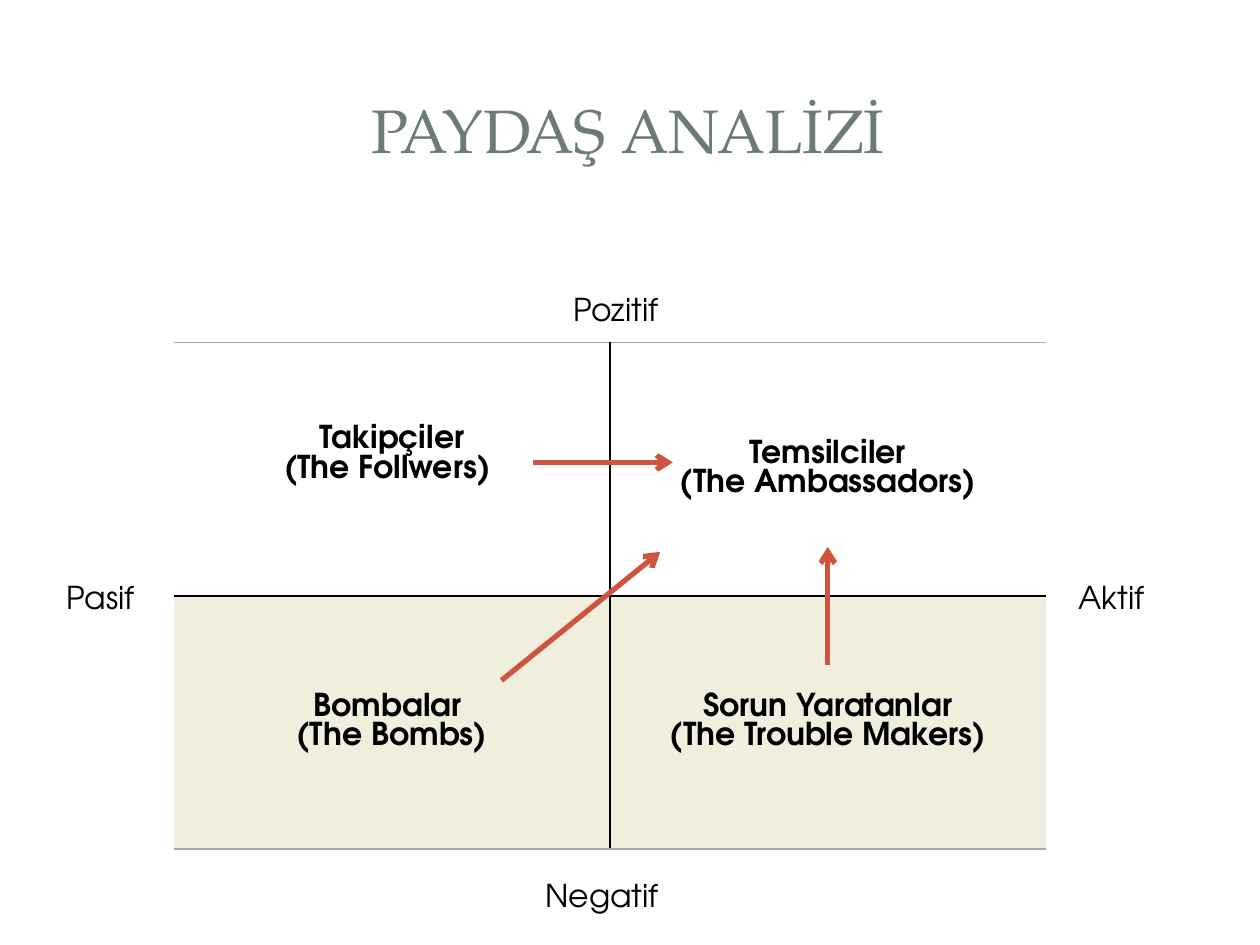
from lxml.etree import SubElement
from pptx import Presentation
from pptx.dml.color import RGBColor
from pptx.enum.shapes import MSO_CONNECTOR, MSO_SHAPE
from pptx.enum.text import MSO_ANCHOR, MSO_AUTO_SIZE, PP_ALIGN
from pptx.oxml.ns import qn
from pptx.util import Inches, Pt

TITLE = "PAYDAŞ ANALİZİ"
QUADRANTS = [
    [["Takipçiler", "(The Follwers) "], ["Temsilciler", "(The Ambassadors)"]],
    [["Bombalar ", "(The Bombs)"], ["Sorun Yaratanlar", "(The Trouble Makers)"]],
]
AXIS_LABELS = [
    ("Pasif", 0.43, 4.54, 0.75),
    ("Aktif", 8.46, 4.54, 0.73),
    ("Pozitif", 4.45, 2.25, 0.89),
    ("Negatif", 4.23, 6.9, 1.11),
]
ARROWS = [
    ((4.23, 3.67), (5.34, 3.67)),
    ((3.98, 5.4), (5.24, 4.38)),
    ((6.57, 5.28), (6.57, 4.34)),
]
PANELS = [
    (MSO_SHAPE.ROUNDED_RECTANGLE, 0.1, 0.11, 9.8, 7.29),
    (MSO_SHAPE.RECTANGLE, 0.3, 0.3, 9.4, 1.45),
    (MSO_SHAPE.RECTANGLE, 0.41, 0.41, 9.17, 1.22),
]
THEME = {
    "title_font": "TeX Gyre Pagella", "title_size": 35, "title_color": "6B7D72",
    "font": "TeX Gyre Adventor", "size": 18, "text": "000000", "panel": "FFFFFF",
    "axis": "000000", "edge": "A6A6A6", "accent": "B5AE53", "tint": 20,
    "arrow": "CF543F", "border_width": 1, "arrow_width": 3,
}
GRID_LEFT, GRID_TOP, COLUMN_WIDTH, ROW_HEIGHT = 1.38, 2.72, 3.46, 2.01
MARGIN, EXTRA_LINE = 0.05, 0.23


def write_text(frame, lines, font=THEME["font"], size=THEME["size"], color=THEME["text"],
               bold=False, align=PP_ALIGN.LEFT):
    for index, line in enumerate(lines):
        paragraph = frame.add_paragraph() if index else frame.paragraphs[0]
        paragraph.alignment = align
        run = paragraph.add_run()
        run.text = line
        run.font.name, run.font.size, run.font.bold = font, Pt(size), bold
        run.font.color.rgb = RGBColor.from_string(color)


def add_border(cell, side, color):
    properties = cell._tc.get_or_add_tcPr()
    line = SubElement(properties, qn(f"a:ln{side}"), w=str(Pt(THEME["border_width"])))
    if color is None:
        SubElement(line, qn("a:noFill"))
    else:
        fill = SubElement(line, qn("a:solidFill"))
        SubElement(fill, qn("a:srgbClr"), val=color)


def fill_cell(cell, tinted):
    if not tinted:
        cell.fill.background()
        return
    cell.fill.solid()
    cell.fill.fore_color.rgb = RGBColor.from_string(THEME["accent"])
    color = cell._tc.tcPr.find(f"{qn('a:solidFill')}/{qn('a:srgbClr')}")
    SubElement(color, qn("a:alpha"), val=str(THEME["tint"] * 1000))


def add_panel(slide, kind, *box):
    panel = slide.shapes.add_shape(kind, *map(Inches, box))
    panel.shadow.inherit = False
    panel.fill.solid()
    panel.fill.fore_color.rgb = RGBColor.from_string(THEME["panel"])
    panel.line.fill.background()
    if kind == MSO_SHAPE.ROUNDED_RECTANGLE:
        panel.adjustments[0] = 0.02
    slide.shapes.title._element.addprevious(panel._element)


def add_title(slide):
    title = slide.shapes.title
    title.left, title.top, title.width, title.height = map(Inches, (0.47, 0.45, 9.03, 1.14))
    title.text_frame.vertical_anchor = MSO_ANCHOR.MIDDLE
    write_text(title.text_frame, [TITLE], font=THEME["title_font"], size=THEME["title_size"],
               color=THEME["title_color"], align=PP_ALIGN.CENTER)


def add_quadrants(slide):
    table = slide.shapes.add_table(2, 2, Inches(GRID_LEFT), Inches(GRID_TOP),
                                   Inches(2 * COLUMN_WIDTH), Inches(2 * ROW_HEIGHT)).table
    table.first_row = table.horz_banding = False
    axis, edge = THEME["axis"], THEME["edge"]
    for row, cells in enumerate(QUADRANTS):
        for column, lines in enumerate(cells):
            cell = table.cell(row, column)
            write_text(cell.text_frame, lines, bold=True, align=PP_ALIGN.CENTER)
            cell.vertical_anchor = MSO_ANCHOR.MIDDLE
            raised = row == column == 0
            cell.margin_bottom = Inches(MARGIN + (EXTRA_LINE if raised else 0))
            add_border(cell, "L", axis if column else None)
            add_border(cell, "R", None if column else axis)
            add_border(cell, "T", axis if row else edge)
            add_border(cell, "B", edge if row else axis)
            fill_cell(cell, tinted=row == 1)


def add_axis_label(slide, text, left, top, width):
    frame = slide.shapes.add_textbox(*map(Inches, (left, top, width, 0.4))).text_frame
    frame.word_wrap = False
    frame.auto_size = MSO_AUTO_SIZE.SHAPE_TO_FIT_TEXT
    write_text(frame, [text])


def add_arrow(slide, start, end):
    arrow = slide.shapes.add_connector(MSO_CONNECTOR.STRAIGHT, *map(Inches, start + end))
    arrow.line.color.rgb = RGBColor.from_string(THEME["arrow"])
    arrow.line.width = Pt(THEME["arrow_width"])
    SubElement(arrow.line._get_or_add_ln(), qn("a:tailEnd"), type="arrow")
    SubElement(arrow._element.spPr, qn("a:effectLst"))


def main():
    presentation = Presentation()
    presentation.slide_width, presentation.slide_height = Inches(10), Inches(7.5)
    slide = presentation.slides.add_slide(presentation.slide_layouts[5])
    for panel in PANELS:
        add_panel(slide, *panel)
    add_title(slide)
    add_quadrants(slide)
    for label in AXIS_LABELS:
        add_axis_label(slide, *label)
    for start, end in ARROWS:
        add_arrow(slide, start, end)
    presentation.save("out.pptx")


if __name__ == "__main__":
    main()
